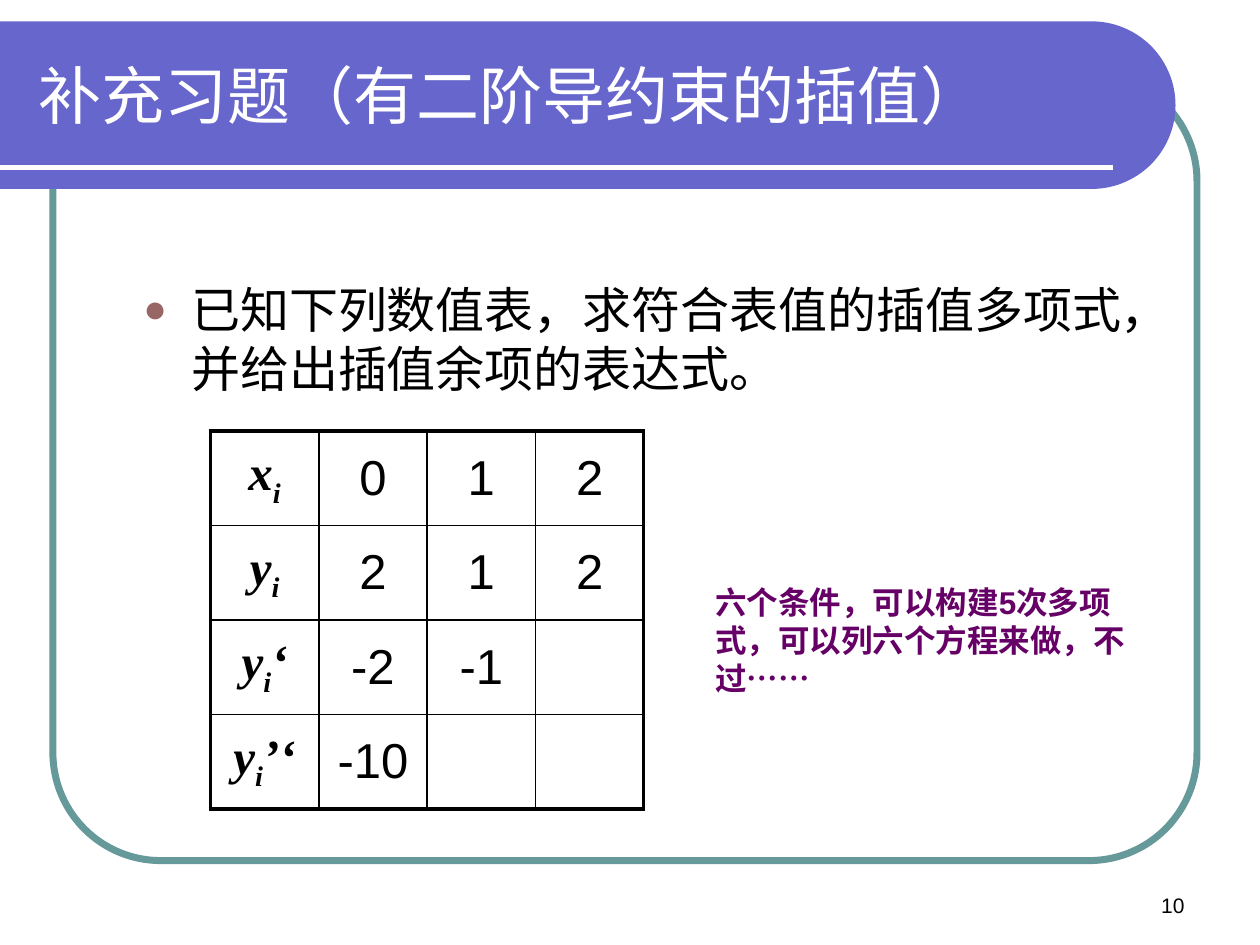
import math

import pptx
import pptx.chart.data
import pptx.dml.color
import pptx.enum.shapes
import pptx.enum.text
import pptx.oxml
import pptx.oxml.ns
import pptx.util
from lxml import etree

Inches = pptx.util.Inches
Pt = pptx.util.Pt
ALIGN = pptx.enum.text.PP_ALIGN
ANCHOR = pptx.enum.text.MSO_ANCHOR
COLORS = {
    "frame": "669999",
    "banner": "6666CC",
    "white": "FFFFFF",
    "black": "000000",
    "bullet": "996666",
    "remark": "660066",
}
MATH = {"font": "Times New Roman", "bold": True, "italic": True}
ROWS = [
    ([("x", 0), ("i", -25)], "0", "1", "2"),
    ([("y", 0), ("i", -25)], "2", "1", "2"),
    ([("y", 0), ("i", -25), ("‘", 0)], "-2", "-1", ""),
    ([("y", 0), ("i", -25), ("’‘", 0)], "-10", "", ""),
]


def rgb(name):
    return pptx.dml.color.RGBColor.from_string(COLORS[name])


def add_xml(parent, tag, **attributes):
    element = etree.SubElement(parent, pptx.oxml.ns.qn(tag))
    for key, value in attributes.items():
        element.set(key, str(value))
    return element


def write(frame, text, size=28, color="black", font="Arial", bold=False,
          italic=False, align=ALIGN.LEFT, before=0):
    paragraph = frame.paragraphs[0]
    paragraph.alignment = align
    paragraph.space_before = Pt(before)
    parts = [(text, 0)] if isinstance(text, str) else text
    for content, baseline in parts:
        run = paragraph.add_run()
        run.text = content
        run.font.size = Pt(size)
        run.font.name = font
        run.font.bold = bold
        run.font.italic = italic
        run.font.color.rgb = rgb(color)
        if baseline:
            run.font._element.set("baseline", str(baseline * 1000))
    return paragraph


class SlideBuilder:
    """Holds the slide style and adds each kind of element to the slide."""

    def __init__(self, presentation):
        self.slide = presentation.slides.add_slide(presentation.slide_layouts[6])
        self.shapes = self.slide.shapes

    def rounded_frame(self, left, top, width, height, radius, color, weight):
        frame = self.shapes.add_shape(
            pptx.enum.shapes.MSO_SHAPE.ROUNDED_RECTANGLE,
            Inches(left), Inches(top), Inches(width), Inches(height))
        frame.adjustments[0] = radius
        frame.shadow.inherit = False
        frame.fill.background()
        frame.line.color.rgb = rgb(color)
        frame.line.width = Pt(weight)

    def banner(self, top, width, height, color):
        radius = height / 2
        steps = 60
        angles = [math.pi * (step / steps - 0.5) for step in range(steps + 1)]
        arc = [(Inches(width - radius + radius * math.cos(angle)),
                Inches(top + radius + radius * math.sin(angle))) for angle in angles]
        outline = self.shapes.build_freeform(0, Inches(top))
        outline.add_line_segments(arc + [(0, Inches(top + height))], close=True)
        banner = outline.convert_to_shape()
        banner.shadow.inherit = False
        banner.fill.solid()
        banner.fill.fore_color.rgb = rgb(color)
        banner.line.fill.background()

    def rule(self, left, right, top, color, weight):
        rule = self.shapes.add_connector(
            pptx.enum.shapes.MSO_CONNECTOR.STRAIGHT,
            Inches(left), Inches(top), Inches(right), Inches(top))
        rule.line.color.rgb = rgb(color)
        rule.line.width = Pt(weight)
        add_xml(rule._element.spPr, "a:effectLst")

    def text(self, left, top, width, height, content, anchor=ANCHOR.TOP, **style):
        box = self.shapes.add_textbox(
            Inches(left), Inches(top), Inches(width), Inches(height))
        box.text_frame.word_wrap = True
        box.text_frame.vertical_anchor = anchor
        return write(box.text_frame, content, **style)

    def bullet(self, paragraph, indent, color, percent):
        properties = paragraph._p.get_or_add_pPr()
        properties.set("marL", str(Inches(indent)))
        properties.set("indent", str(-Inches(indent)))
        add_xml(add_xml(properties, "a:buClr"), "a:srgbClr", val=COLORS[color])
        add_xml(properties, "a:buSzPct", val=percent * 1000)
        add_xml(properties, "a:buFont", typeface="Arial")
        add_xml(properties, "a:buChar", char="●")

    def borders(self, cell, weights):
        properties = cell._tc.get_or_add_tcPr()
        for position, (side, weight) in enumerate(weights.items()):
            border = add_xml(properties, f"a:ln{side}", w=Pt(weight))
            add_xml(add_xml(border, "a:solidFill"), "a:srgbClr", val=COLORS["black"])
            properties.insert(position, border)

    def value_table(self, left, top, column_width, row_height, rows):
        last_row, last_column = len(rows) - 1, len(rows[0]) - 1
        table = self.shapes.add_table(
            len(rows), len(rows[0]), Inches(left), Inches(top),
            Inches(column_width * len(rows[0])), Inches(row_height * len(rows))).table
        table.first_row = table.horz_banding = False
        for column in table.columns:
            column.width = Inches(column_width)
        for r, values in enumerate(rows):
            table.rows[r].height = Inches(row_height)
            for c, value in enumerate(values):
                cell = table.cell(r, c)
                cell.fill.background()
                cell.vertical_anchor = ANCHOR.MIDDLE
                if value:
                    write(cell.text_frame, value, align=ALIGN.CENTER, before=5.6,
                          **({} if c else MATH))
                edges = {"L": c == 0, "R": c == last_column,
                         "T": r == 0, "B": r == last_row}
                self.borders(cell, {side: 2.25 if outer else 1
                                    for side, outer in edges.items()})


def main():
    presentation = pptx.Presentation()
    presentation.slide_width = Inches(10)
    presentation.slide_height = Inches(7.5)
    builder = SlideBuilder(presentation)
    builder.rounded_frame(0.42, 0.58, 9.08, 6.25, 0.137, "frame", 4)
    builder.banner(0.17, 9.33, 1.33, "banner")
    builder.rule(0, 8.83, 1.33, "white", 3)
    builder.text(0.21, 0.25, 8.77, 1, "补充习题（有二阶导约束的插值）",
                 anchor=ANCHOR.MIDDLE, size=36, color="white")
    exercise = builder.text(
        1.04, 2.17, 8.13, 4.5,
        "已知下列数值表，求符合表值的插值多项式，并给出插值余项的表达式。", before=5.6)
    builder.bullet(exercise, 0.38, "bullet", 80)
    builder.value_table(1.67, 3.42, 0.86, 0.75, ROWS)
    builder.text(5.58, 4.58, 3.58, 1,
                 "六个条件，可以构建5次多项式，可以列六个方程来做，不过……",
                 size=18, color="remark", bold=True, before=9)
    builder.text(7.17, 6.83, 2.33, 0.5, "10", anchor=ANCHOR.BOTTOM,
                 size=12, align=ALIGN.RIGHT)
    presentation.save("out.pptx")


if __name__ == "__main__":
    main()
